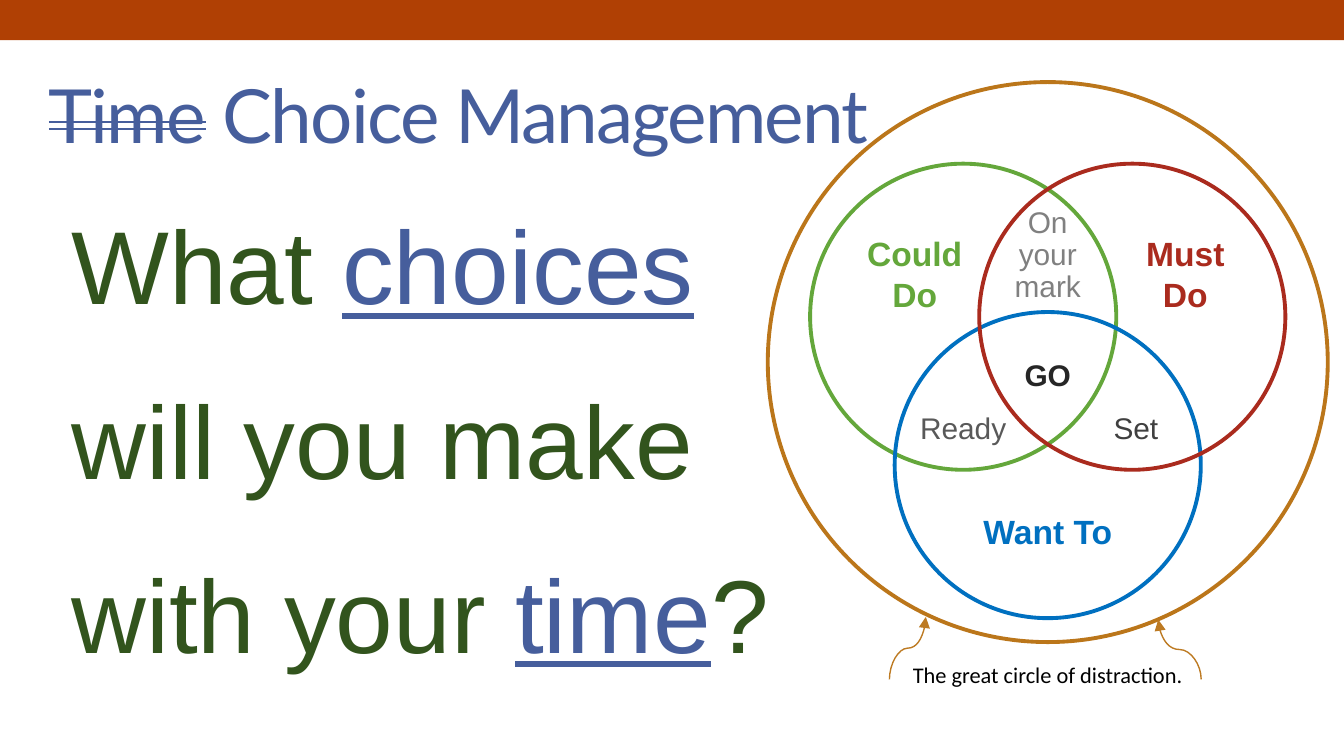
from lxml.etree import SubElement
from pptx import Presentation
from pptx.dml.color import RGBColor
from pptx.enum.shapes import MSO_CONNECTOR, MSO_SHAPE
from pptx.enum.text import MSO_ANCHOR, MSO_AUTO_SIZE, PP_ALIGN
from pptx.oxml.ns import qn
from pptx.util import Pt

COLORS = {
    "banner": "B04004",
    "accent": "465E9C",
    "question": "32541D",
    "distraction": "BB761A",
    "arrow": "BD7A22",
    "could": "64A73B",
    "must": "AA2B1E",
    "want": "0070C0",
    "mark": "808080",
    "go": "262626",
    "ready": "595959",
    "set": "404040",
    "caption": "000000",
}

QUESTION = [
    [("What ", False), ("choices", True)],
    [("will you make", False)],
    [("with your ", False), ("time", True), ("?", False)],
]

CIRCLES = [
    (561.3, 194, 150, "distraction"),
    (516, 169.7, 82, "could"),
    (561.3, 249.2, 82, "want"),
    (606.6, 169.7, 82, "must"),
]

LABELS = [
    ("Could\vDo", 490, 146.5, 18, True, "could"),
    ("Must\vDo", 635, 146.5, 18, True, "must"),
    ("Want To", 561.3, 284.5, 18, True, "want"),
    ("On\vyour\vmark", 561.3, 137, 16, False, "mark"),
    ("GO", 561.3, 200.5, 16, True, "go"),
    ("Ready", 516, 229, 16, False, "ready"),
    ("Set", 608.5, 229, 16, False, "set"),
]

ARROWS = [
    ((643.5, 364), (620.5, 332)),
    ((476.5, 364), (496, 330.5)),
]


def color(name):
    return RGBColor.from_string(COLORS[name])


def style_font(font, face, size, color_name, bold=False):
    font.name = face
    font.size = Pt(size)
    font.bold = bold
    font.color.rgb = color(color_name)


def place(box, left, top, width, height):
    box.left, box.top = Pt(left), Pt(top)
    box.width, box.height = Pt(width), Pt(height)


def add_banner(slide):
    banner = slide.shapes.add_shape(MSO_SHAPE.RECTANGLE, 0, 0, Pt(720), Pt(21.5))
    banner.shadow.inherit = False
    banner.fill.solid()
    banner.fill.fore_color.rgb = color("banner")
    banner.line.fill.background()


def fill_title(title):
    place(title, 19, 31.7, 648, 58.3)
    frame = title.text_frame
    frame.auto_size = MSO_AUTO_SIZE.NONE
    frame.vertical_anchor = MSO_ANCHOR.MIDDLE
    heading = frame.paragraphs[0]
    heading.alignment = PP_ALIGN.LEFT
    for words, strike in [("Time", "dblStrike"), (" Choice Management", "noStrike")]:
        part = heading.add_run()
        part.text = words
        style_font(part.font, "Lato", 40, "accent")
        properties = part.font._element
        properties.set("strike", strike)
        properties.set("spc", "-100")


def fill_question(body):
    place(body, 31, 77.6, 648, 288)
    frame = body.text_frame
    frame.auto_size = MSO_AUTO_SIZE.NONE
    question = frame.paragraphs[0]
    question.line_spacing = 1.4
    question.space_before = Pt(0)
    properties = question._p.get_or_add_pPr()
    properties.set("marL", "0")
    properties.set("indent", "0")
    SubElement(properties, qn("a:buNone"))
    for index, line in enumerate(QUESTION):
        if index:
            question.add_line_break()
        for words, stressed in line:
            part = question.add_run()
            part.text = words
            style_font(part.font, "Arial", 55.5, "accent" if stressed else "question")
            part.font.underline = stressed


def add_circle(slide, center_x, center_y, radius, color_name):
    circle = slide.shapes.add_shape(
        MSO_SHAPE.OVAL, Pt(center_x - radius), Pt(center_y - radius),
        Pt(2 * radius), Pt(2 * radius))
    circle.shadow.inherit = False
    circle.fill.background()
    circle.line.color.rgb = color(color_name)
    circle.line.width = Pt(2.08)


def add_label(slide, text, center_x, center_y, size, bold, color_name,
              face="Arial", width=90):
    height = 60
    label = slide.shapes.add_textbox(
        Pt(center_x - width / 2), Pt(center_y - height / 2), Pt(width), Pt(height))
    frame = label.text_frame
    frame.word_wrap = True
    frame.vertical_anchor = MSO_ANCHOR.MIDDLE
    frame.text = text
    paragraph = frame.paragraphs[0]
    paragraph.alignment = PP_ALIGN.CENTER
    if text.count("\v") > 1:
        paragraph.line_spacing = 0.9
    for part in paragraph.runs:
        style_font(part.font, face, size, color_name, bold)


def add_curved_arrow(slide, start, end):
    middle_x, middle_y = (start[0] + end[0]) / 2, (start[1] + end[1]) / 2
    half_x, half_y = start[0] - middle_x, start[1] - middle_y
    arrow = slide.shapes.add_connector(
        MSO_CONNECTOR.CURVE,
        Pt(middle_x - half_y), Pt(middle_y + half_x),
        Pt(middle_x + half_y), Pt(middle_y - half_x))
    arrow.line.color.rgb = color("arrow")
    arrow.line.width = Pt(0.75)
    properties = arrow._element.spPr
    properties.find(qn("a:xfrm")).set("rot", str(270 * 60000))
    SubElement(properties.find(qn("a:ln")), qn("a:tailEnd")).set("type", "triangle")
    SubElement(properties, qn("a:effectLst"))


def main():
    deck = Presentation()
    deck.slide_width, deck.slide_height = Pt(720), Pt(405)
    slide = deck.slides.add_slide(deck.slide_layouts[1])
    add_banner(slide)
    fill_title(slide.shapes.title)
    fill_question(slide.placeholders[1])
    for circle in CIRCLES:
        add_circle(slide, *circle)
    for label in LABELS:
        add_label(slide, *label)
    add_label(slide, "The great circle of distraction.", 561.3, 361.5, 12, False,
              "caption", face="Calibri", width=284)
    for start, end in ARROWS:
        add_curved_arrow(slide, start, end)
    deck.save("out.pptx")


if __name__ == "__main__":
    main()
